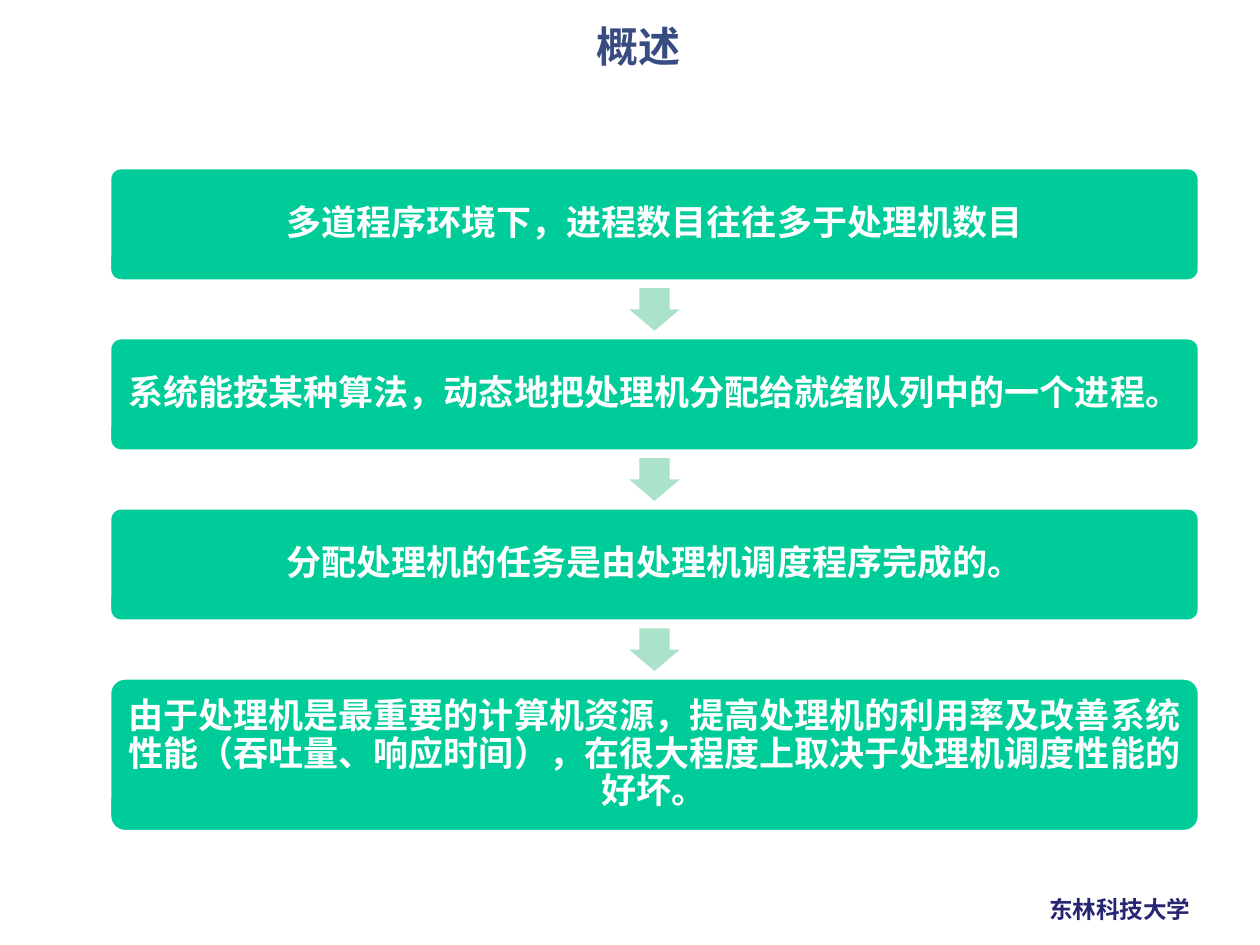
from dataclasses import dataclass

from lxml.etree import SubElement
from pptx import Presentation
from pptx.dml.color import RGBColor
from pptx.enum.shapes import MSO_SHAPE as Shape
from pptx.enum.text import MSO_ANCHOR as Anchor, MSO_AUTO_SIZE as AutoSize, PP_ALIGN as Align
from pptx.oxml.ns import qn
from pptx.util import Pt

COLORS = {
    "title": "384C81",
    "footer": "262673",
    "box": "00CC99",
    "arrow": "ABE2CA",
    "white": "FFFFFF",
}
CJK_FONT = "Noto Sans CJK SC"
LATIN_FONT = "Times New Roman"

# Flow layout, in points
LEFT, TOP, WIDTH = 62.6, 95.8, 622.8
GAP = 32.4
ARROW_LENGTH, ARROW_BREADTH = 24.4, 28.8


@dataclass
class Step:
    text: str
    height: float = 64.8


STEPS = [
    Step("多道程序环境下，进程数目往往多于处理机数目"),
    Step("系统能按某种算法，动态地把处理机分配给就绪队列中的一个进程。"),
    Step("分配处理机的任务是由处理机调度程序完成的。"),
    Step("由于处理机是最重要的计算机资源，提高处理机的利用率及改善系统性能"
         "（吞吐量、响应时间），在很大程度上取决于处理机调度性能的好坏。", 87.8),
]


def rgb(name: str) -> RGBColor:
    return RGBColor.from_string(COLORS[name])


def set_margins(tf, margin: float) -> None:
    for side in ("left", "top", "right", "bottom"):
        setattr(tf, f"margin_{side}", Pt(margin))


def write(tf, text: str, size: float, color: str, font: str = CJK_FONT, **paragraph) -> None:
    """Write one bold run and apply the given paragraph formats."""
    p = tf.paragraphs[0]
    for name, value in paragraph.items():
        setattr(p, name, value)
    r = p.add_run()
    r.text = text
    for name, value in {"size": Pt(size), "bold": True, "name": font}.items():
        setattr(r.font, name, value)
    r.font.color.rgb = rgb(color)
    SubElement(r.font._element, qn("a:ea"), typeface=CJK_FONT)


def add_box(s, step: Step, top: float) -> None:
    box = s.shapes.add_shape(Shape.ROUNDED_RECTANGLE, Pt(LEFT), Pt(top), Pt(WIDTH), Pt(step.height))
    box.shadow.inherit = False
    box.adjustments[0] = 0.1
    box.fill.solid()
    box.fill.fore_color.rgb = rgb("box")
    box.line.color.rgb = rgb("white")
    box.line.width = Pt(2)
    tf = box.text_frame
    tf.word_wrap = True
    tf.vertical_anchor = Anchor.MIDDLE
    set_margins(tf, 7)
    write(tf, step.text, 20, "white", LATIN_FONT,
          alignment=Align.CENTER, line_spacing=0.9, space_after=Pt(7))


def add_arrow(s, center_y: float) -> None:
    center_x = LEFT + WIDTH / 2
    arrow = s.shapes.add_shape(
        Shape.RIGHT_ARROW, Pt(center_x - ARROW_LENGTH / 2), Pt(center_y - ARROW_BREADTH / 2),
        Pt(ARROW_LENGTH), Pt(ARROW_BREADTH))
    arrow.rotation = 90
    arrow.shadow.inherit = False
    arrow.adjustments[0] = 0.6
    arrow.adjustments[1] = 0.5
    arrow.fill.solid()
    arrow.fill.fore_color.rgb = rgb("arrow")
    arrow.line.fill.background()


def main() -> None:
    prs = Presentation()
    prs.slide_width, prs.slide_height = Pt(720), Pt(540)
    s = prs.slides.add_slide(prs.slide_layouts[5])

    # Title
    title = s.shapes.title
    title.left, title.top, title.width, title.height = Pt(76.3), Pt(15.1), Pt(577.4), Pt(43.2)
    tf = title.text_frame
    tf.auto_size = AutoSize.NONE
    tf.vertical_anchor = Anchor.TOP
    set_margins(tf, 0)
    write(tf, "概述", 24, "title", alignment=Align.CENTER, line_spacing=0.9)

    # Flow of steps, with an arrow in each gap
    top = TOP
    for i, step in enumerate(STEPS):
        if i:
            add_arrow(s, top - GAP / 2)
        add_box(s, step, top)
        top += step.height + GAP

    # Footer
    tf = s.shapes.add_textbox(Pt(592.6), Pt(507.6), Pt(96.5), Pt(23.8)).text_frame
    tf.word_wrap = False
    tf.auto_size = AutoSize.SHAPE_TO_FIT_TEXT
    write(tf, "东林科技大学", 13.5, "footer")

    prs.save("out.pptx")


if __name__ == "__main__":
    main()
